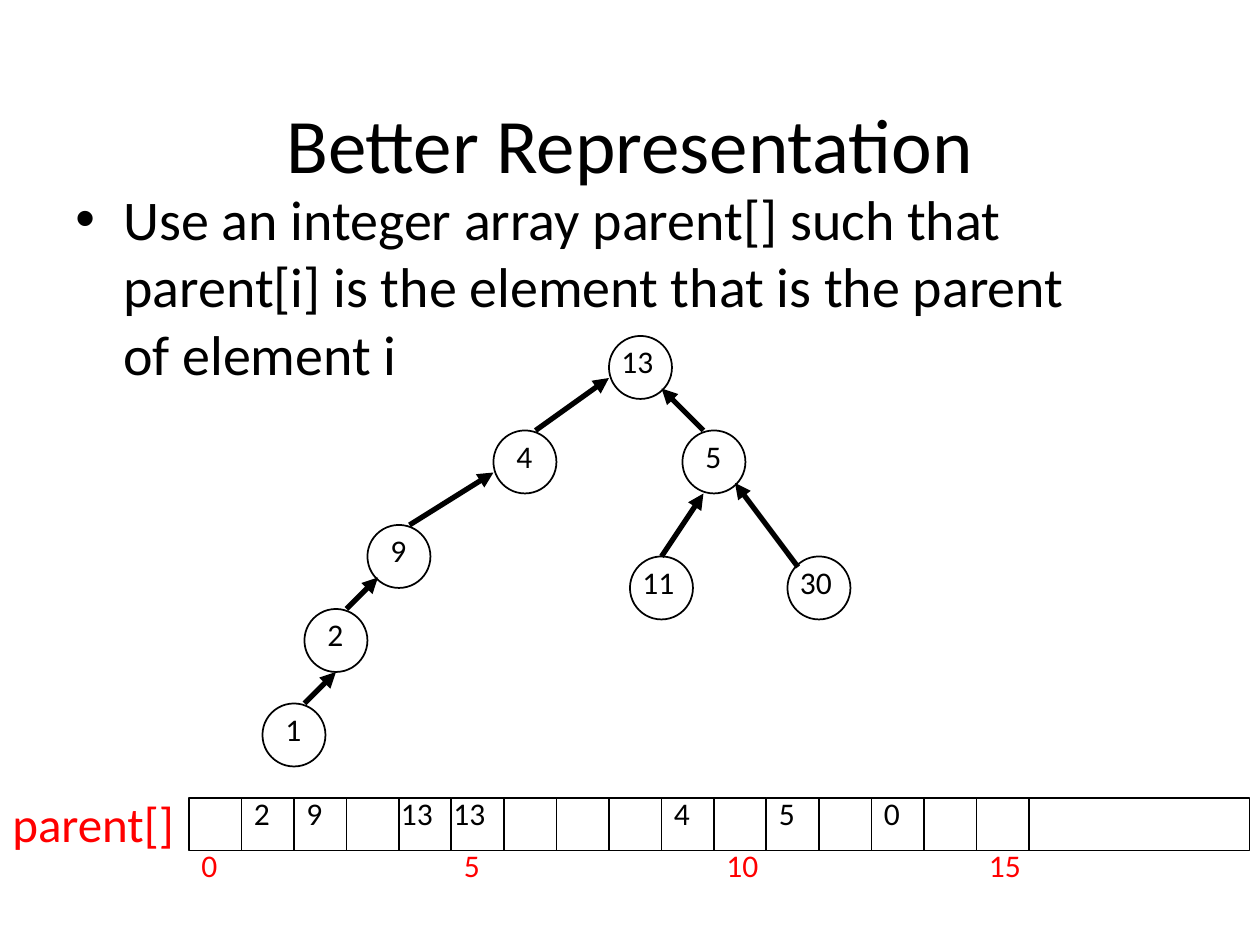
from lxml.etree import SubElement
from pptx import Presentation
from pptx.dml.color import RGBColor
from pptx.enum.shapes import MSO_CONNECTOR as Connector, MSO_SHAPE as Shape
from pptx.enum.text import MSO_ANCHOR as Anchor, MSO_AUTO_SIZE as AutoSize, PP_ALIGN as Align
from pptx.oxml.ns import qn
from pptx.util import Inches, Pt

COLORS = {"ink": "000000", "index": "FF0000"}
FONT = "Calibri"

# Tree and array sit on a grid of twelfths of an inch.
NODE_SIZE = 6
NODES = {  # element: left, top
    13: (58, 32), 4: (47, 41), 5: (65, 41), 9: (35, 50),
    11: (60, 53), 30: (75, 53), 2: (29, 58), 1: (25, 67),
}
ARROWS = [  # child end, parent end
    ((51, 41), (58, 36)), ((39, 50), (47, 45)), ((67, 41), (63, 37)),
    ((33, 58), (36, 55)), ((63, 53), (67, 47)), ((76, 54), (70, 46)),
    ((29, 67), (32, 64)),
]
CELL = 5
CELL_COUNT = 16
ARRAY_LEFT, ARRAY_TOP = 18, 76
REST_WIDTH = 21
PARENTS = {1: 2, 2: 9, 4: 13, 5: 13, 9: 4, 11: 5, 13: 0}


def grid(*units):
    return [Inches(unit / 12) for unit in units]


class SlideBuilder:
    """Holds the style and the current slide."""

    def __init__(self, slide):
        self.slide = slide

    def style(self, paragraph, size, color="ink"):
        paragraph.font.name = FONT
        paragraph.font.size = Pt(size)
        paragraph.font.color.rgb = RGBColor.from_string(COLORS[color])

    def title(self, text, left, top, width, height):
        title = self.slide.shapes.title
        title.left, title.top = Inches(left), Inches(top)
        title.width, title.height = Inches(width), Inches(height)
        frame = title.text_frame
        frame.text = text
        frame.auto_size = AutoSize.NONE
        frame.vertical_anchor = Anchor.MIDDLE
        frame.paragraphs[0].alignment = Align.CENTER
        self.style(frame.paragraphs[0], 44)

    def text(self, text, box, size=18, color="ink"):
        frame = self.slide.shapes.add_textbox(*box).text_frame
        frame.word_wrap = True
        frame.text = str(text)
        paragraph = frame.paragraphs[0]
        self.style(paragraph, size, color)
        return paragraph

    def bullet(self, text, box, size):
        paragraph = self.text(text, box, size)
        properties = paragraph._p.get_or_add_pPr()
        properties.set("marL", str(Inches(0.38)))
        properties.set("indent", str(-Inches(0.38)))
        bullet_font = properties.makeelement(qn("a:buFont"), {"typeface": "Arial"})
        bullet_mark = properties.makeelement(qn("a:buChar"), {"char": "•"})
        properties.insert(0, bullet_font)
        properties.insert(1, bullet_mark)

    def outline(self, kind, box):
        shape = self.slide.shapes.add_shape(kind, *box)
        shape.shadow.inherit = False
        shape.fill.background()
        shape.line.color.rgb = RGBColor.from_string(COLORS["ink"])
        shape.line.width = Pt(1)

    def arrow(self, start, end):
        line = self.slide.shapes.add_connector(
            Connector.STRAIGHT, *grid(*start), *grid(*end))
        line.line.color.rgb = RGBColor.from_string(COLORS["ink"])
        line.line.width = Pt(3)
        SubElement(line.line._get_or_add_ln(), qn("a:tailEnd"), type="triangle")
        SubElement(line._element.spPr, qn("a:effectLst"))

    def node(self, element, left, top):
        self.outline(Shape.OVAL, grid(left, top, NODE_SIZE, NODE_SIZE))
        if element < 10:
            self.text(element, grid(left + 1, top, 4, 6))
        else:
            self.text(element, grid(left, top, 9, 6))

    def array(self):
        lefts = [ARRAY_LEFT + index * CELL for index in range(CELL_COUNT)]
        for left in lefts:
            self.outline(Shape.RECTANGLE, grid(left, ARRAY_TOP, CELL, CELL))
        rest_left = ARRAY_LEFT + CELL_COUNT * CELL
        self.outline(Shape.RECTANGLE, grid(rest_left, ARRAY_TOP, REST_WIDTH, CELL))
        self.text("parent[]", grid(0, ARRAY_TOP - 1, 18, 7), 28, "index")
        for index in range(0, CELL_COUNT, 5):
            width = 5 if index < 10 else 8
            self.text(index, grid(lefts[index], ARRAY_TOP + 4, width, 6), color="index")
        for index, parent in PARENTS.items():
            shift = 0 if parent < 10 else 1
            self.text(parent, grid(lefts[index] - shift, ARRAY_TOP - 1, 9, 6))


def main():
    presentation = Presentation()
    presentation.slide_width, presentation.slide_height = Inches(10), Inches(7.5)
    builder = SlideBuilder(presentation.slides.add_slide(presentation.slide_layouts[5]))
    builder.title("Better Representation", 0.75, 0.67, 8.5, 0.92)
    builder.bullet(
        "Use an integer array parent[] such that parent[i] is the element "
        "that is the parent of element i", grid(6, 17, 102, 23), 32)
    for element, (left, top) in NODES.items():
        builder.node(element, left, top)
    for child_end, parent_end in ARROWS:
        builder.arrow(child_end, parent_end)
    builder.array()
    presentation.save("out.pptx")


if __name__ == "__main__":
    main()
